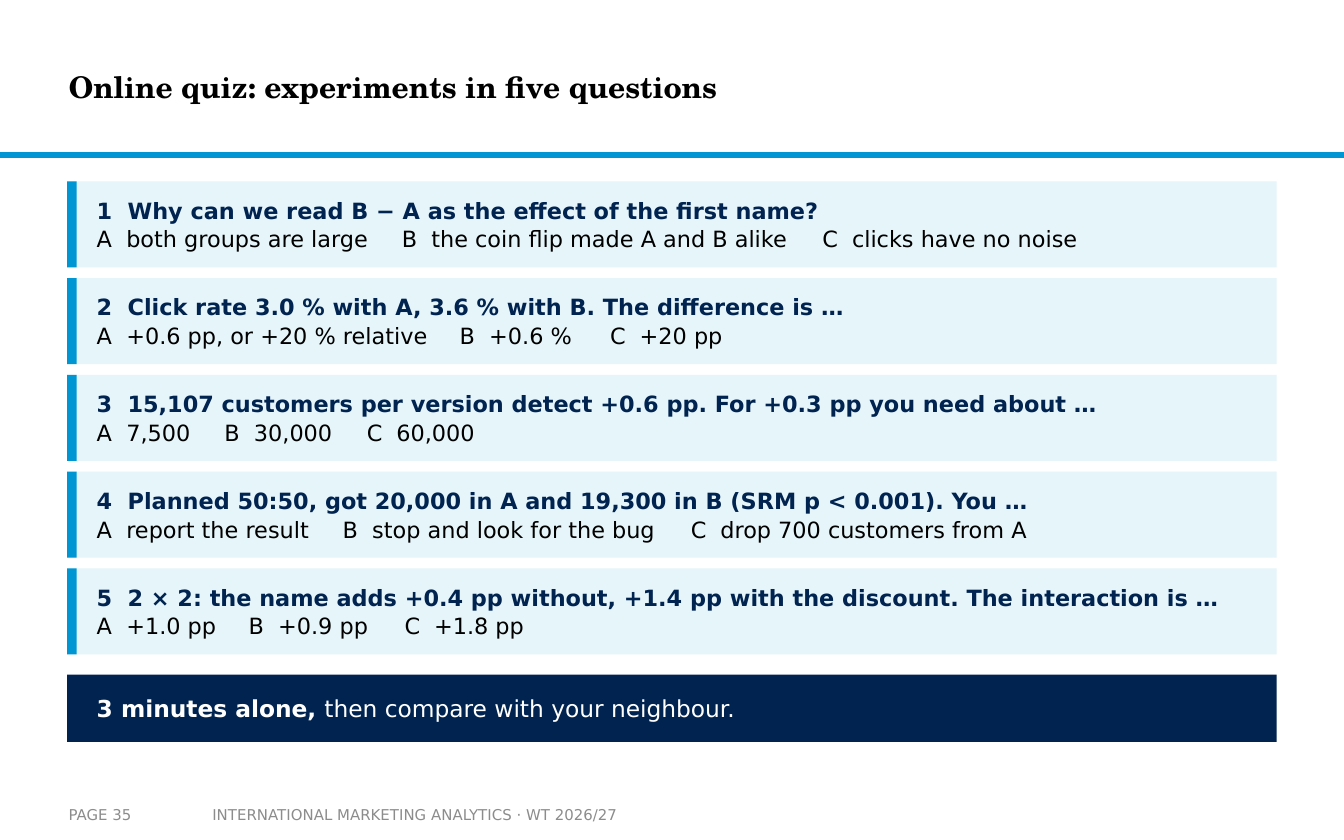
from lxml.etree import SubElement
from pptx import Presentation
from pptx.dml.color import RGBColor
from pptx.enum.shapes import MSO_SHAPE as Shape
from pptx.enum.text import MSO_ANCHOR as Anchor
from pptx.oxml.ns import qn
from pptx.util import Emu, Pt

PX = 9144  # EMU per px, 100 px to the inch
SANS, SERIF = "DejaVu Sans", "TeX Gyre Schola"
NAVY, BLUE, PALE = "002350", "0096D3", "E5F5FA"
BLACK, WHITE, GREY = "000000", "FFFFFF", "8C8C8C"
LEFT, WIDTH, INDENT = 50, 900, 72
TOP, CARD, STEP = 135, 64, 72
NUM_TAB, KEY_TAB = 23, 22

# question, answers, starts of answers B and C from the text edge
QUIZ = [
    ("Why can we read B − A as the effect of the first name?",
     ["both groups are large", "the coin flip made A and B alike",
      "clicks have no noise"], (227, 540)),
    ("Click rate 3.0 % with A, 3.6 % with B. The difference is …",
     ["+0.6 pp, or +20 % relative", "+0.6 %", "+20 pp"], (270, 382)),
    ("15,107 customers per version detect +0.6 pp. "
     "For +0.3 pp you need about …",
     ["7,500", "30,000", "60,000"], (95, 201)),
    ("Planned 50:50, got 20,000 in A and 19,300 in B "
     "(SRM p < 0.001). You …",
     ["report the result", "stop and look for the bug",
      "drop 700 customers from A"], (183, 442)),
    ("2 × 2: the name adds +0.4 pp without, +1.4 pp with the discount. "
     "The interaction is …",
     ["+1.0 pp", "+0.9 pp", "+1.8 pp"], (113, 229)),
]


def px(*nums):
    return [Emu(n * PX) for n in nums]


def color(code):
    return RGBColor.from_string(code)


def add_bar(slide, box, fill, line=None):
    bar = slide.shapes.add_shape(Shape.RECTANGLE, *px(*box))
    bar.shadow.inherit = False
    bar.fill.solid()
    bar.fill.fore_color.rgb = color(fill)
    if line:
        bar.line.color.rgb = color(line)
        bar.line.width = Pt(1)
    else:
        bar.line.fill.background()


def add_box(slide, box):
    """Add an empty text frame without margins, centred vertically."""
    frame = slide.shapes.add_textbox(*px(*box)).text_frame
    frame.word_wrap = True
    frame.vertical_anchor = Anchor.MIDDLE
    frame.margin_left = frame.margin_right = 0
    frame.margin_top = frame.margin_bottom = 0
    return frame


def add_text(para, text, size=12, ink=BLACK, bold=False, face=SANS):
    run = para.add_run()
    run.text = text
    font = run.font
    font.name, font.size, font.bold = face, Pt(size), bold
    font.color.rgb = color(ink)


def set_tabs(para, stops):
    tabs = SubElement(para._p.get_or_add_pPr(), qn("a:tabLst"))
    for stop in stops:
        SubElement(tabs, qn("a:tab"), pos=str(stop * PX), algn="l")


def add_card(slide, top, num, ask, picks, starts):
    add_bar(slide, (LEFT, top, WIDTH, CARD), PALE)
    add_bar(slide, (LEFT, top, 7, CARD), BLUE)
    frame = add_box(slide, (INDENT, top, 870, CARD))
    head, row = frame.paragraphs[0], frame.add_paragraph()
    head.space_after = row.space_after = Pt(1)
    set_tabs(head, [NUM_TAB])
    add_text(head, f"{num}\t{ask}", ink=NAVY, bold=True)
    b, c = starts
    set_tabs(row, [KEY_TAB, b, b + KEY_TAB, c, c + KEY_TAB])
    add_text(row, "\t".join(f"{key}\t{pick}" for key, pick in zip("ABC", picks)))


def add_label(slide, box, text, **style):
    add_text(add_box(slide, box).paragraphs[0], text, **style)


def add_task(slide, top):
    add_bar(slide, (LEFT, top, WIDTH, 50), NAVY)
    para = add_box(slide, (INDENT, top, 856, 50)).paragraphs[0]
    para.space_after = Pt(4)
    add_text(para, "3 minutes alone, ", size=12.5, ink=WHITE, bold=True)
    add_text(para, "then compare with your neighbour.", size=12.5, ink=WHITE)


def main():
    deck = Presentation()
    deck.slide_width, deck.slide_height = px(1000, 625)
    slide = deck.slides.add_slide(deck.slide_layouts[6])
    add_bar(slide, (0, 114, 1000, 3), BLUE, line=BLUE)
    add_label(slide, (51, 15, 748, 99), "Online quiz: experiments in five questions",
              size=16, bold=True, face=SERIF)
    for i, (ask, picks, starts) in enumerate(QUIZ):
        add_card(slide, TOP + i * STEP, i + 1, ask, picks, starts)
    add_task(slide, 502)
    add_label(slide, (51, 592, 98, 28), "PAGE 35", size=8, ink=GREY)
    add_label(slide, (158, 592, 332, 28),
              "INTERNATIONAL MARKETING ANALYTICS · WT 2026/27", size=8, ink=GREY)
    deck.save("out.pptx")


if __name__ == "__main__":
    main()
